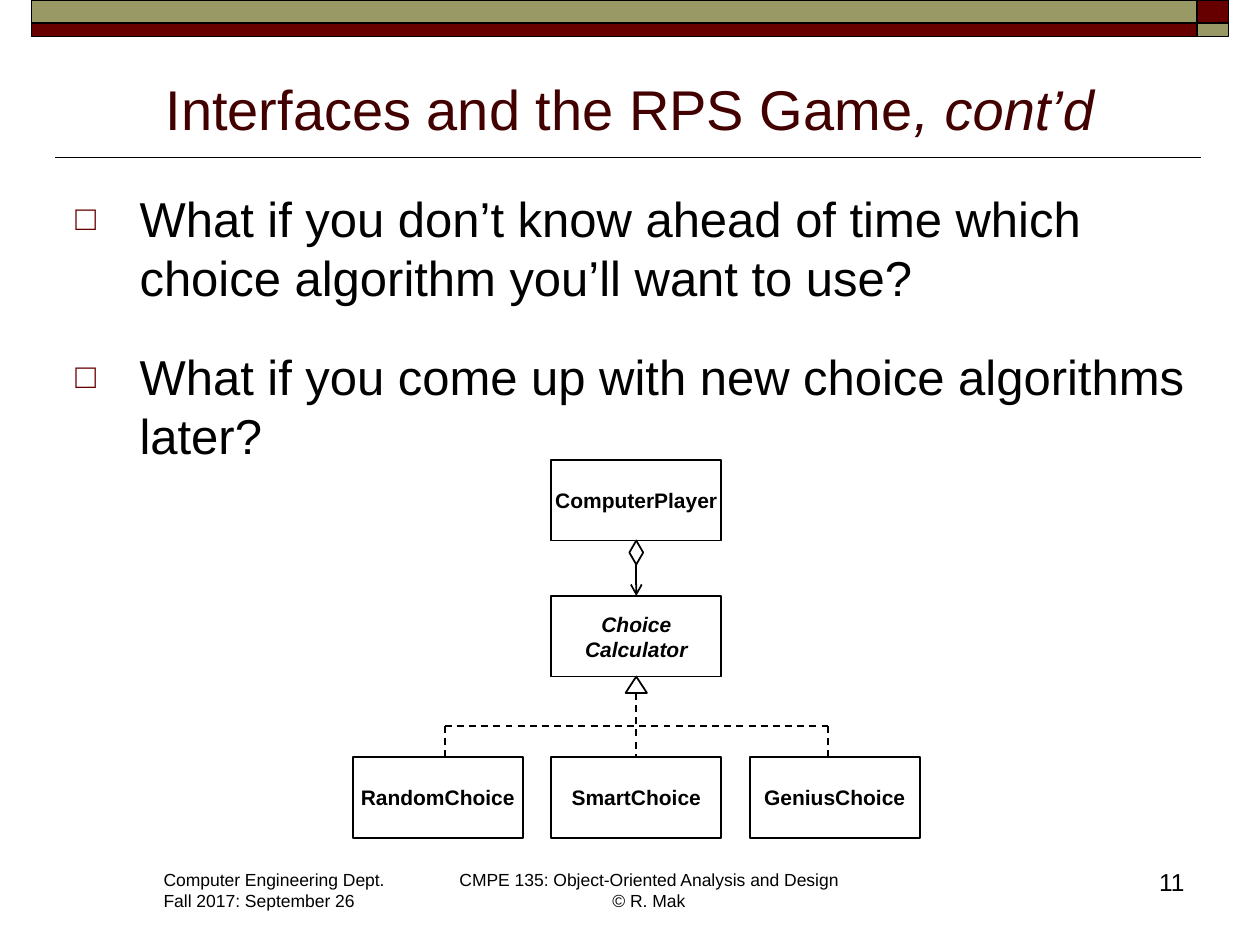
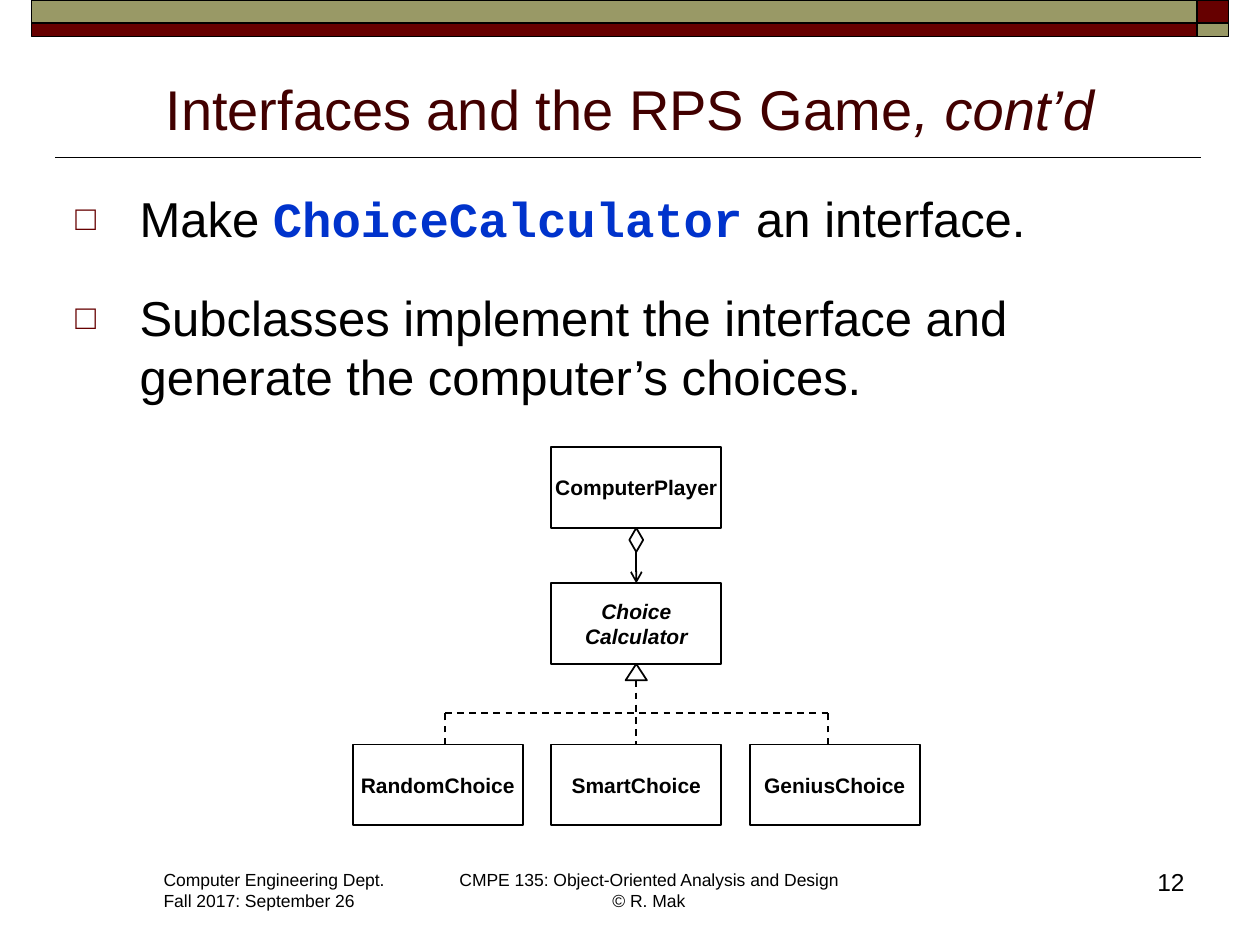
from lxml import etree
from pptx import Presentation
from pptx.dml.color import RGBColor
from pptx.enum.dml import MSO_LINE
from pptx.enum.shapes import MSO_CONNECTOR, MSO_SHAPE
from pptx.enum.text import MSO_ANCHOR, MSO_AUTO_SIZE, PP_ALIGN
from pptx.oxml.ns import qn
from pptx.util import Inches, Pt

COLORS = {
    "ink": "000000",
    "title": "420000",
    "maroon": "660000",
    "olive": "999966",
    "code": "0033CC",
}
BODY_FONT = "Arial"
CODE_FONT = "Courier New"
LEFT, CENTER, RIGHT = PP_ALIGN.LEFT, PP_ALIGN.CENTER, PP_ALIGN.RIGHT
TOP, MIDDLE, BOTTOM = MSO_ANCHOR.TOP, MSO_ANCHOR.MIDDLE, MSO_ANCHOR.BOTTOM
RECTANGLE, DIAMOND = MSO_SHAPE.RECTANGLE, MSO_SHAPE.DIAMOND
TRIANGLE = MSO_SHAPE.ISOSCELES_TRIANGLE
DASH = MSO_LINE.DASH
STRAIGHT = MSO_CONNECTOR.STRAIGHT
GROW = MSO_AUTO_SIZE.SHAPE_TO_FIT_TEXT

CODE_STYLE = {"font": CODE_FONT, "color": "code", "bold": True}
TITLE = [("Interfaces and the RPS Game", {}), (", cont’d", {"italic": True})]


def color_of(name):
    return RGBColor.from_string(COLORS[name])


def inches(box):
    return [Inches(value) for value in box]


def style_span(span, size=12, font=BODY_FONT, color="ink", bold=False, italic=False):
    span.font.size = Pt(size)
    span.font.name = font
    span.font.color.rgb = color_of(color)
    span.font.bold = bold
    span.font.italic = italic


def write_text(frame, paragraphs, align=LEFT, anchor=TOP, wrap=True, **style):
    frame.word_wrap = wrap
    frame.vertical_anchor = anchor
    for index, spans in enumerate(paragraphs):
        para = frame.paragraphs[0] if index == 0 else frame.add_paragraph()
        para.alignment = align
        if isinstance(spans, str):
            spans = [(spans, {})]
        for text, changes in spans:
            for number, line in enumerate(text.split("\n")):
                if number:
                    para.add_line_break()
                span = para.add_run()
                span.text = line
                style_span(span, **{**style, **changes})
    return frame


def add_text(page, box, paragraphs, **options):
    frame = page.shapes.add_textbox(*inches(box)).text_frame
    return write_text(frame, paragraphs, **options)


def add_outline(page, kind, box, fill=None):
    shape = page.shapes.add_shape(kind, *inches(box))
    shape.shadow.inherit = False
    if fill:
        shape.fill.solid()
        shape.fill.fore_color.rgb = color_of(fill)
    else:
        shape.fill.background()
    shape.line.color.rgb = color_of("ink")
    shape.line.width = Pt(1)
    return shape


def add_line(page, start, end, dashed=False, arrow=False):
    line = page.shapes.add_connector(STRAIGHT, *inches(start + end))
    line.line.color.rgb = color_of("ink")
    line.line.width = Pt(1)
    if dashed:
        line.line.dash_style = DASH
    properties = line._element.spPr
    if arrow:
        etree.SubElement(properties.find(qn("a:ln")), qn("a:tailEnd"), type="arrow")
    etree.SubElement(properties, qn("a:effectLst"))


def add_bands(page, box):
    left, top, width, height = box
    corner, upper = 0.25, 0.18
    main, lower = width - corner, height - upper
    for y, band, main_fill, corner_fill in (
        (top, upper, "olive", "maroon"),
        (top + upper, lower, "maroon", "olive"),
    ):
        add_outline(page, RECTANGLE, (left, y, main, band), main_fill)
        add_outline(page, RECTANGLE, (left + main, y, corner, band), corner_fill)


def add_title(page, box, spans):
    left, top, width, height = box
    add_text(page, box, [spans], align=CENTER, anchor=BOTTOM, size=32, color="title")
    rule = top + height + 0.08
    add_line(page, (left + width + 0.03, rule), (left - 0.06, rule))


def add_footer(page, box, number):
    left, top, width, height = box
    department = ["Computer Engineering Dept.", "Fall 2017: September 26"]
    course = ["CMPE 135: Object-Oriented Analysis and Design\n© R. Mak"]
    for x, part, lines, align in (
        (left, 1.97, department, LEFT),
        (left + 2.33, 3.24, course, CENTER),
    ):
        frame = add_text(page, (x, top, part, height), lines,
                         align=align, wrap=False, size=10)
        frame.auto_size = GROW
    add_text(page, (left + width - 0.6, top - 0.02, 0.6, 0.5), [str(number)],
             align=RIGHT, size=14)


def add_bullets(page, box, paragraphs):
    frame = add_text(page, box, paragraphs, size=28)
    for index, para in enumerate(frame.paragraphs):
        para.space_before = Pt(23 if index else 5.6)
        properties = para._p.get_or_add_pPr()
        properties.set("marL", str(Inches(0.51)))
        properties.set("indent", str(-Inches(0.51)))
        paint = etree.SubElement(properties, qn("a:buClr"))
        etree.SubElement(paint, qn("a:srgbClr"), val=COLORS["maroon"])
        etree.SubElement(properties, qn("a:buSzPct"), val="70000")
        etree.SubElement(properties, qn("a:buFont"), typeface=BODY_FONT)
        etree.SubElement(properties, qn("a:buChar"), char="□")


def add_class(page, box, lines, italic=False):
    shape = add_outline(page, RECTANGLE, box)
    write_text(shape.text_frame, lines, align=CENTER, anchor=MIDDLE, wrap=False,
               bold=True, italic=italic)


def add_class_diagram(page, box):
    left, top, width, height = box
    class_width, class_height = 1.35, 0.64
    middle = left + width / 2
    center_left = middle - class_width / 2
    interface_top = top + 1.08
    interface_bottom = interface_top + class_height
    row_top = top + height - class_height
    branch_top = row_top - 0.25
    reach = 1.52

    add_class(page, (center_left, top, class_width, class_height), ["ComputerPlayer"])
    add_class(page, (center_left, interface_top, class_width, class_height),
              ["Choice", "Calculator"], italic=True)
    step = (width - class_width) / 2
    for index, name in enumerate(("RandomChoice", "SmartChoice", "GeniusChoice")):
        add_class(page, (left + index * step, row_top, class_width, class_height), [name])

    diamond_top = top + class_height
    add_outline(page, DIAMOND, (middle - 0.055, diamond_top, 0.11, 0.19))
    add_line(page, (middle, diamond_top + 0.19), (middle, interface_top), arrow=True)
    add_outline(page, TRIANGLE, (middle - 0.085, interface_bottom, 0.17, 0.13))
    add_line(page, (middle, interface_bottom + 0.13), (middle, row_top), dashed=True)
    add_line(page, (middle - reach, branch_top), (middle + reach, branch_top), dashed=True)
    for x in (middle - reach, middle + reach):
        add_line(page, (x, row_top), (x, branch_top), dashed=True)


def add_page(deck, number, bullets, bullets_height, diagram_top):
    page = deck.slides.add_slide(deck.slide_layouts[6])
    add_bands(page, (0.25, 0, 9.5, 0.29))
    add_title(page, (0.5, 0.45, 9, 0.72), TITLE)
    add_bullets(page, (0.5, 1.45, 9, bullets_height), bullets)
    add_class_diagram(page, (2.8, diagram_top, 4.5, 3))
    add_footer(page, (1.2, 6.85, 8.3, 0.44), number)


deck = Presentation()
deck.slide_width, deck.slide_height = Inches(10), Inches(7.5)
add_page(deck, 11, [
    "What if you don’t know ahead of time which choice algorithm you’ll want to use?",
    "What if you come up with new choice algorithms later?",
], 2.39, 3.65)
add_page(deck, 12, [
    [("Make ", {}), ("ChoiceCalculator", CODE_STYLE), (" an interface.", {})],
    "Subclasses implement the interface and generate the computer’s choices.",
], 1.94, 3.55)
deck.save("out.pptx")
